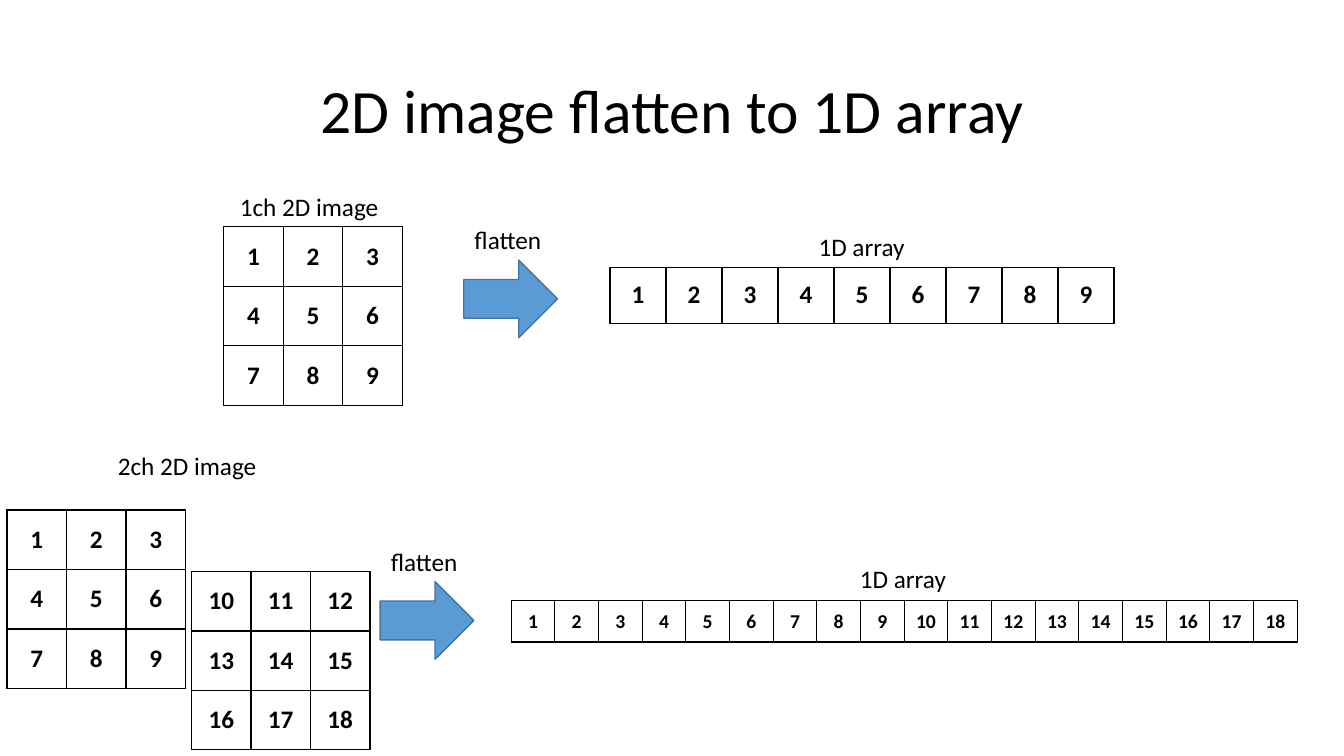
from lxml import etree
from pptx import Presentation
from pptx.dml.color import RGBColor
from pptx.enum.shapes import MSO_SHAPE
from pptx.enum.text import MSO_ANCHOR, MSO_AUTO_SIZE, PP_ALIGN
from pptx.oxml.ns import qn
from pptx.util import Inches, Pt

DOWN_ARROW = MSO_SHAPE.DOWN_ARROW
MIDDLE = MSO_ANCHOR.MIDDLE
GROW = MSO_AUTO_SIZE.SHAPE_TO_FIT_TEXT
LEFT, CENTER = PP_ALIGN.LEFT, PP_ALIGN.CENTER
BLACK, BLUE, DARK_BLUE = "000000", "5B9BD5", "43739E"
CELL_MARGINS = {
    "margin_left": Inches(0.05),
    "margin_right": Inches(0.05),
    "vertical_anchor": MIDDLE,
}


def color(value):
    return RGBColor.from_string(value)


def write(paragraph, text, size, alignment, bold=False):
    paragraph.text = text
    paragraph.alignment = alignment
    font = paragraph.runs[0].font
    formats = {"name": "Calibri", "size": Pt(size), "bold": bold}
    for name, value in formats.items():
        setattr(font, name, value)
    font.color.rgb = color(BLACK)


presentation = Presentation()
presentation.slide_width = Inches(13.33)
presentation.slide_height = Inches(7.5)
slide = presentation.slides.add_slide(presentation.slide_layouts[5])

title = slide.shapes.title
title_place = {"left": 0.92, "top": 0.4, "width": 11.5, "height": 1.45}
for name, value in title_place.items():
    setattr(title, name, Inches(value))
title.text_frame.vertical_anchor = MIDDLE
write(title.text_frame.paragraphs[0], "2D image flatten to 1D array", 44, CENTER)
title.text_frame.paragraphs[0].line_spacing = 0.9

number_tables = [
    (2.22, 2.25, 1.77, 1.77, 3, 3, 1, 18),
    (6.05, 2.65, 5, 0.56, 1, 9, 1, 18),
    (1.9, 5.67, 1.77, 1.77, 3, 3, 10, 18),
    (0.07, 5.06, 1.77, 1.77, 3, 3, 1, 18),
    (5.07, 5.96, 7.8, 0.41, 1, 18, 1, 14),
]
for left, top, width, height, rows, columns, first, size in number_tables:
    table = slide.shapes.add_table(
        rows, columns, Inches(left), Inches(top), Inches(width), Inches(height)
    ).table
    table.first_row = False
    table.horz_banding = False
    for number, cell in enumerate(table.iter_cells(), first):
        write(cell.text_frame.paragraphs[0], str(number), size, CENTER, True)
        for name, value in CELL_MARGINS.items():
            setattr(cell, name, value)
        properties = cell._tc.get_or_add_tcPr()
        for side in ("a:lnL", "a:lnR", "a:lnT", "a:lnB"):
            border = etree.SubElement(properties, qn(side), w=str(Pt(1)))
            border_fill = etree.SubElement(border, qn("a:solidFill"))
            etree.SubElement(border_fill, qn("a:srgbClr"), val=BLACK)
        cell.fill.background()

for left, top in [(4.68, 2.5), (3.85, 5.69)]:
    arrow = slide.shapes.add_shape(
        DOWN_ARROW, Inches(left), Inches(top), Inches(0.77), Inches(0.93)
    )
    arrow.rotation = 270
    arrow.shadow.inherit = False
    arrow.fill.solid()
    arrow.fill.fore_color.rgb = color(BLUE)
    arrow.line.color.rgb = color(DARK_BLUE)
    arrow.line.width = Pt(1)

labels = [
    ("1ch 2D image", 2.28, 1.85, 1.65, LEFT),
    ("1D array", 8.02, 2.25, 1.07, LEFT),
    ("flatten ", 4.6, 2.18, 0.93, CENTER),
    ("2ch 2D image", 1.07, 4.42, 1.65, LEFT),
    ("flatten ", 3.77, 5.37, 0.93, CENTER),
    ("1D array", 8.43, 5.54, 1.07, LEFT),
]
for text, left, top, width, alignment in labels:
    label = slide.shapes.add_textbox(
        Inches(left), Inches(top), Inches(width), Inches(0.4)
    )
    label.text_frame.word_wrap = False
    label.text_frame.auto_size = GROW
    write(label.text_frame.paragraphs[0], text, 18, alignment)

presentation.save("out.pptx")
